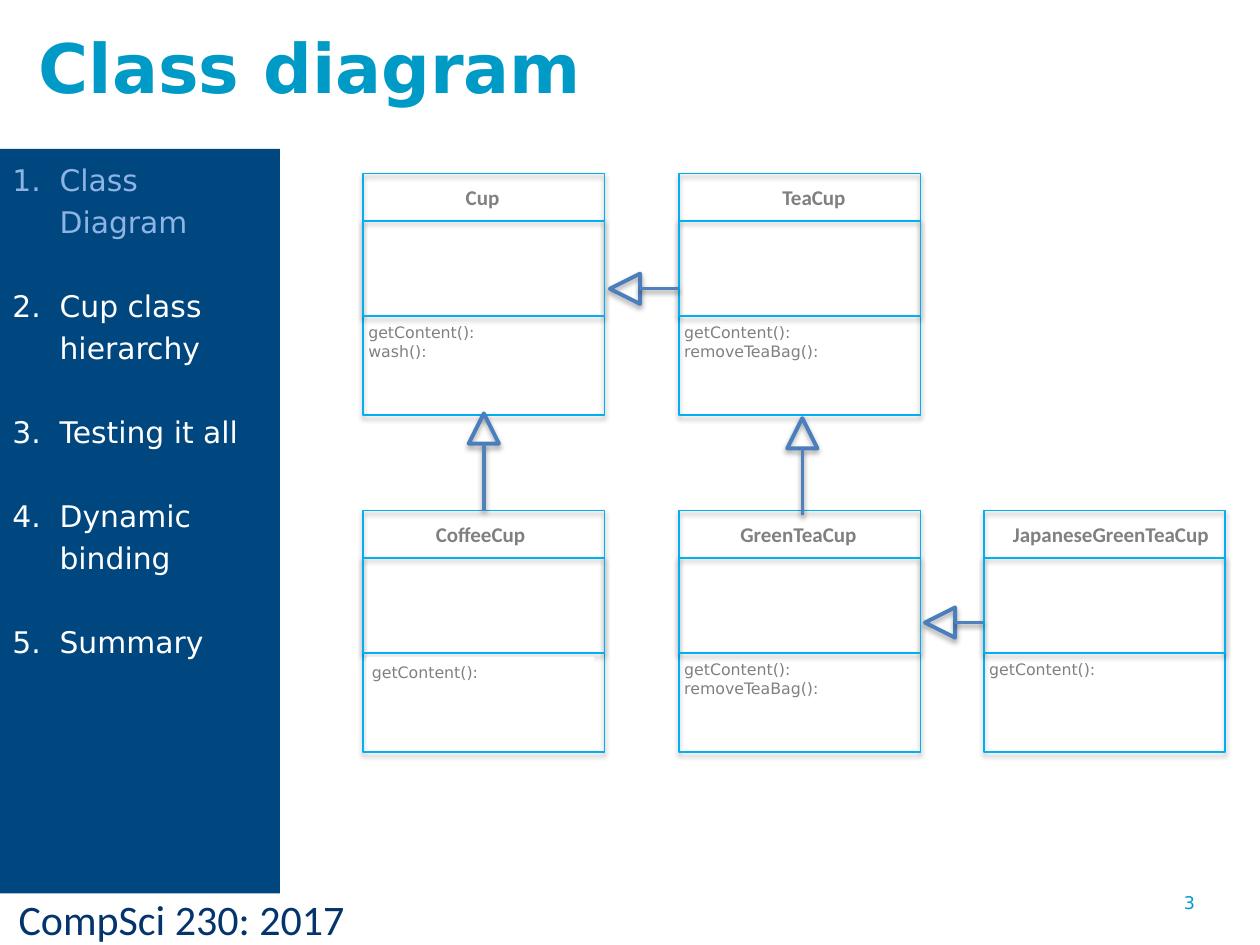
from lxml.etree import SubElement
from pptx import Presentation
from pptx.dml.color import RGBColor
from pptx.enum.shapes import MSO_CONNECTOR as Connector, MSO_SHAPE as Shape
from pptx.enum.text import MSO_ANCHOR as Anchor, MSO_AUTO_SIZE as AutoSize, PP_ALIGN as Align
from pptx.oxml.ns import qn
from pptx.util import Pt

WHITE = RGBColor(0xFF, 0xFF, 0xFF)
TEAL = RGBColor(0x00, 0x9A, 0xC7)
NAVY = RGBColor(0x00, 0x46, 0x7F)
FOOTER_NAVY = RGBColor(0x04, 0x34, 0x6C)
CURRENT_BLUE = RGBColor(0x8E, 0xB4, 0xE3)
OUTLINE_BLUE = RGBColor(0x00, 0xB0, 0xF0)
HEAD_BLUE = RGBColor(0x4B, 0x7E, 0xBC)
SHAFT_BLUE = RGBColor(0x4F, 0x81, 0xBD)
GREY = RGBColor(0x80, 0x80, 0x80)

SANS, CALIBRI = "DejaVu Sans", "Calibri"
TITLE_FONT = {"name": SANS, "size": Pt(39), "bold": True}
AGENDA_FONT = {"name": SANS, "size": Pt(17)}
NUMBER_FONT = {"name": SANS, "size": Pt(10)}
FOOTER_FONT = {"name": CALIBRI, "size": Pt(24)}
CLASS_FONT = {"name": CALIBRI, "size": Pt(12), "bold": True}
METHOD_FONT = {"name": SANS, "size": Pt(9)}

# Class cards: outer square, attribute compartment, method compartment
CARD, NAME_HEIGHT, ATTRIBUTES_HEIGHT = 138, 27, 54.5
METHODS_WIDTH, METHODS_HEIGHT = 130, 51
COLUMNS = (207.5, 388, 562.25)
ROWS = (99.25, 291.75)
HEAD = 17.3

# Name, column, row, left and width of the name, methods, shift of the methods
CLASSES = [
    ("Cup", 0, 0, 51.5, 34, ["getContent():", "wash():"], 0),
    ("CoffeeCup", 0, 1, 34.5, 66, ["getContent():"], 2),
    ("TeaCup", 1, 0, 52, 51, ["getContent():", "removeTeaBag():"], 0),
    ("GreenTeaCup", 1, 1, 28, 81, ["getContent():", "removeTeaBag():"], 0),
    ("JapaneseGreenTeaCup", 2, 1, 9.5, 127, ["getContent():"], 0),
]
# Tip x, tip y, length, points up
INHERITANCE = [
    (276.5, 236.25, 55.5, True),
    (348.5, 165, 39.5, False),
    (458.5, 239, 55.5, True),
    (528.5, 355.75, 33.5, False),
]
AGENDA = ["Class Diagram", "Cup class hierarchy", "Testing it all",
          "Dynamic binding", "Summary"]


def set_font(paragraph, style, color):
    for attribute, value in style.items():
        setattr(paragraph.font, attribute, value)
    paragraph.font.color.rgb = color


def fill_shadow(effects, distance, opacity):
    shadow = SubElement(effects, qn("a:outerShdw"), blurRad=str(Pt(3.1)),
                        dist=str(Pt(distance)), dir="5400000", rotWithShape="0")
    black = SubElement(shadow, qn("a:srgbClr"), val="000000")
    SubElement(black, qn("a:alpha"), val=str(opacity * 1000))


def add_box(slide, kind, left, top, width, height, fill=None, line=None, weight=1):
    box = slide.shapes.add_shape(kind, Pt(left), Pt(top), Pt(width), Pt(height))
    box.shadow.inherit = False
    if fill is None:
        box.fill.background()
    else:
        box.fill.solid()
        box.fill.fore_color.rgb = fill
    if line is None:
        box.line.fill.background()
    else:
        box.line.color.rgb = line
        box.line.width = Pt(weight)
        fill_shadow(box._element.spPr.find(qn("a:effectLst")), 1.8, 35)
    return box


def add_label(slide, text, left, top, width, height, style, color, wrap=True):
    frame = slide.shapes.add_textbox(Pt(left), Pt(top), Pt(width), Pt(height)).text_frame
    frame.word_wrap = wrap
    frame.text = text
    set_font(frame.paragraphs[0], style, color)


def add_title(slide, text):
    title = slide.shapes.title
    title.left, title.top, title.width, title.height = Pt(15), Pt(10), Pt(513), Pt(56)
    frame = title.text_frame
    frame.text = text
    frame.auto_size = AutoSize.NONE
    frame.vertical_anchor = Anchor.MIDDLE
    frame.paragraphs[0].alignment = Align.LEFT
    set_font(frame.paragraphs[0], TITLE_FONT, TEAL)


def add_agenda(slide):
    frame = add_box(slide, Shape.RECTANGLE, 0, 85, 160, 425.5, fill=NAVY).text_frame
    frame.word_wrap = True
    frame.vertical_anchor = Anchor.TOP
    for index, topic in enumerate(AGENDA):
        item = frame.paragraphs[0] if index == 0 else frame.add_paragraph()
        item.text = topic
        item.alignment = Align.LEFT
        item.line_spacing = Pt(24)
        if index:
            item.space_before = Pt(24)
        properties = item._p.get_or_add_pPr()
        properties.set("marL", str(Pt(27)))
        properties.set("indent", str(Pt(-27)))
        SubElement(properties, qn("a:buFont"), typeface=SANS)
        SubElement(properties, qn("a:buAutoNum"), type="arabicPeriod")
        color = WHITE if index else CURRENT_BLUE
        set_font(item, AGENDA_FONT, color)
        item.runs[0].font.color.rgb = color  # the number takes the run colour


def add_methods(slide, methods, left, top):
    frame = add_box(slide, Shape.RECTANGLE, left, top, METHODS_WIDTH,
                    METHODS_HEIGHT, fill=WHITE).text_frame
    frame.word_wrap = True
    frame.vertical_anchor = Anchor.TOP
    frame.margin_left = Pt(3)
    frame.text = "\n".join(methods)
    for method in frame.paragraphs:
        method.alignment = Align.LEFT
        set_font(method, METHOD_FONT, GREY)


def add_class(slide, name, column, row, name_left, name_width, methods, shift):
    left, top = COLUMNS[column], ROWS[row]
    methods_top = top + NAME_HEIGHT + ATTRIBUTES_HEIGHT
    if not shift:
        add_methods(slide, methods, left, methods_top)
    for offset, height in ((0, CARD), (NAME_HEIGHT, ATTRIBUTES_HEIGHT)):
        add_box(slide, Shape.RECTANGLE, left, top + offset, CARD, height,
                line=OUTLINE_BLUE)
    add_label(slide, name, left + name_left, top + 2.5, name_width, 21.5,
              CLASS_FONT, GREY, wrap=False)
    if shift:  # a shifted method list lies over the card
        add_methods(slide, methods, left + shift, methods_top + shift)


def add_inheritance(slide, x, y, length, up):
    # Hollow head
    left, top = (x - HEAD / 2, y) if up else (x, y - HEAD / 2)
    head = add_box(slide, Shape.ISOSCELES_TRIANGLE, left, top, HEAD, HEAD,
                   line=HEAD_BLUE, weight=2.25)
    head.rotation = 0 if up else 270
    # Shaft from the subclass to the base of the head
    start, end = [(x, y + reach) if up else (x + reach, y) for reach in (length, HEAD)]
    shaft = slide.shapes.add_connector(Connector.STRAIGHT, *map(Pt, start + end))
    shaft.line.color.rgb = SHAFT_BLUE
    shaft.line.width = Pt(2)
    fill_shadow(SubElement(shaft._element.spPr, qn("a:effectLst")), 1.6, 38)


def main():
    deck = Presentation()
    deck.slide_width, deck.slide_height = Pt(720), Pt(540)
    slide = deck.slides.add_slide(deck.slide_layouts[5])

    # Title, footer and page number
    add_title(slide, "Class diagram")
    add_label(slide, "CompSci 230: 2017", 3.5, 507, 292, 36, FOOTER_FONT, FOOTER_NAVY)
    add_label(slide, "3", 669.5, 506, 50, 34, NUMBER_FONT, TEAL)

    # Sidebar
    add_agenda(slide)

    # Class diagram
    for class_card in CLASSES:
        add_class(slide, *class_card)
    for arrow in INHERITANCE:
        add_inheritance(slide, *arrow)

    deck.save("out.pptx")


if __name__ == "__main__":
    main()
